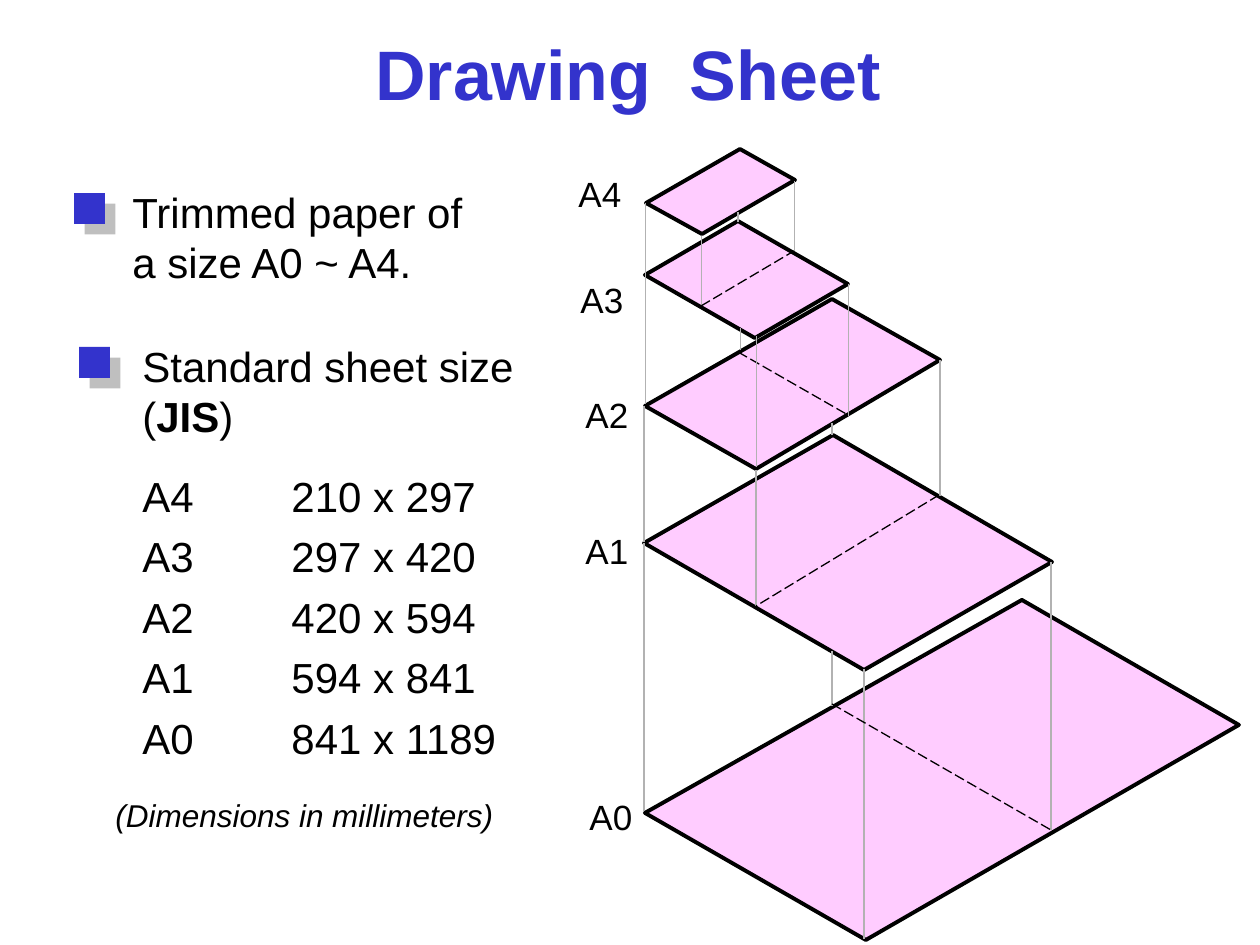
import pptx
import pptx.dml.color
import pptx.enum.dml
import pptx.enum.shapes
import pptx.enum.text
import pptx.oxml
import pptx.oxml.ns
import pptx.util
from lxml import etree

PX = 914400 / 126
FONT = "Arial"
BLUE = pptx.dml.color.RGBColor(0x33, 0x33, 0xCC)
BLACK = pptx.dml.color.RGBColor(0, 0, 0)
PINK = pptx.dml.color.RGBColor(0xFF, 0xCC, 0xFF)
GRAY = pptx.dml.color.RGBColor(0xB2, 0xB2, 0xB2)
DASH = pptx.enum.dml.MSO_LINE.LONG_DASH
THIN, HAIR = 0.75, 0.25

TITLE = "Drawing  Sheet"
TRIMMED = ["Trimmed paper of", "a size A0 ~ A4."]
STANDARD = [("Standard sheet size (", False), ("JIS", True), (")", False)]
SIZES = [
    ("A4", "210 x 297"),
    ("A3", "297 x 420"),
    ("A2", "420 x 594"),
    ("A1", "594 x 841"),
    ("A0", "841 x 1189"),
]
UNITS_NOTE = "(Dimensions in millimeters)"
BULLETS = [(74, 193), (79, 347)]
BULLET_SIDE = 31

# Each sheet: corners, fold (x1, y1, x2, y2), vertical guides (x, y1, y2, width)
SHEETS = [
    {"corners": [(646, 203), (740, 149), (795, 180), (702, 234)],
     "fold": None, "guides": []},
    {"corners": [(848, 284), (738, 221), (645, 275), (755, 338)],
     "fold": (701, 306, 794, 251),
     "guides": [(645, 203, 273, HAIR), (701, 236, 306, HAIR), (794, 181, 251, HAIR)]},
    {"corners": [(832, 299), (645, 406), (756, 469), (940, 360)],
     "fold": (738, 352, 848, 415),
     "guides": [(848, 284, 416, HAIR), (740, 328, 350, HAIR)]},
    {"corners": [(644, 543), (864, 670), (1052, 562), (833, 435)],
     "fold": (939, 495, 756, 606),
     "guides": [(644, 406, 542, THIN), (756, 470, 606, THIN), (940, 360, 496, THIN)]},
    {"corners": [(645, 813), (866, 940), (1239, 725), (1022, 600)],
     "fold": (832, 704, 1051, 830),
     "guides": [(738, 222, 212, THIN), (756, 336, 467, HAIR), (645, 273, 404, HAIR),
                (644, 543, 811, THIN), (864, 669, 939, THIN), (1051, 562, 830, THIN),
                (832, 651, 706, THIN), (832, 435, 423, THIN)]},
]
LABELS = [("A4", 566, 166), ("A3", 568, 272), ("A2", 573, 387),
          ("A1", 573, 523), ("A0", 577, 789)]


def emu(*lengths):
    return [round(length * PX) for length in lengths]


def add_box(slide, left, top, width, height, wrap=False):
    frame = slide.shapes.add_textbox(*emu(left, top, width, height)).text_frame
    frame.word_wrap = wrap
    return frame


def add_run(paragraph, text, size, color=BLACK, bold=False, italic=False):
    run = paragraph.add_run()
    run.text = text
    run.font.name = FONT
    run.font.size = pptx.util.Pt(size)
    run.font.color.rgb = color
    run.font.bold = bold
    run.font.italic = italic


def add_tab_stop(paragraph, position):
    tabs = etree.SubElement(paragraph._p.get_or_add_pPr(), pptx.oxml.ns.qn("a:tabLst"))
    etree.SubElement(tabs, pptx.oxml.ns.qn("a:tab"), pos=str(emu(position)[0]), algn="l")


def add_line(slide, x1, y1, x2, y2, color, width, dash=None):
    line = slide.shapes.add_connector(
        pptx.enum.shapes.MSO_CONNECTOR.STRAIGHT, *emu(x1, y1, x2, y2))
    line.line.color.rgb = color
    line.line.width = pptx.util.Pt(width)
    if dash is not None:
        line.line.dash_style = dash
    etree.SubElement(line._element.spPr, pptx.oxml.ns.qn("a:effectLst"))


def add_bullet(slide, left, top):
    square = slide.shapes.add_shape(
        pptx.enum.shapes.MSO_SHAPE.RECTANGLE, *emu(left, top, BULLET_SIDE, BULLET_SIDE))
    square.fill.solid()
    square.fill.fore_color.rgb = BLUE
    square.line.fill.background()
    square.shadow.inherit = False
    effects = square._element.spPr.find(pptx.oxml.ns.qn("a:effectLst"))
    effects.append(pptx.oxml.parse_xml(
        f'<a:outerShdw {pptx.oxml.ns.nsdecls("a")} dist="107950" dir="2700000" '
        'algn="ctr" rotWithShape="0"><a:srgbClr val="808080">'
        '<a:alpha val="50000"/></a:srgbClr></a:outerShdw>'))


def add_sheet(slide, corners, fold, guides):
    builder = slide.shapes.build_freeform(*corners[0], scale=PX)
    builder.add_line_segments(corners[1:], close=True)
    sheet = builder.convert_to_shape()
    sheet.fill.solid()
    sheet.fill.fore_color.rgb = PINK
    sheet.line.color.rgb = BLACK
    sheet.line.width = pptx.util.Pt(2.25)
    sheet.shadow.inherit = False
    for x, y1, y2, width in guides:
        add_line(slide, x, y1, x, y2, GRAY, width)
    if fold:
        add_line(slide, *fold, BLACK, THIN, DASH)


def add_size_list(slide):
    frame = add_box(slide, 130, 334, 408, 435, wrap=True)
    for text, bold in STANDARD:
        add_run(frame.paragraphs[0], text, 24, bold=bold)
    for index, (name, size) in enumerate(SIZES):
        row = frame.add_paragraph()
        row.line_spacing = 1.2
        if index == 0:
            row.space_before = pptx.util.Pt(11)
        add_tab_stop(row, 149)
        add_run(row, f"{name}\t{size}", 24)


def main():
    deck = pptx.Presentation()
    deck.slide_width, deck.slide_height = emu(1260, 945)
    slide = deck.slides.add_slide(deck.slide_layouts[6])

    title = add_box(slide, 35, 24, 1186, 97, wrap=True)
    title.vertical_anchor = pptx.enum.text.MSO_ANCHOR.MIDDLE
    title.paragraphs[0].alignment = pptx.enum.text.PP_ALIGN.CENTER
    add_run(title.paragraphs[0], TITLE, 40, BLUE, bold=True)

    trimmed = add_box(slide, 120, 180, 357, 113)
    add_run(trimmed.paragraphs[0], TRIMMED[0], 24)
    add_run(trimmed.add_paragraph(), TRIMMED[1], 24)

    add_size_list(slide)
    for position in BULLETS:
        add_bullet(slide, *position)
    for sheet in SHEETS:
        add_sheet(slide, **sheet)
    for name, left, top in LABELS:
        add_run(add_box(slide, left, top, 68, 54).paragraphs[0], name, 20)

    note = add_box(slide, 103, 782, 403, 58).paragraphs[0]
    note.line_spacing = 1.2
    add_run(note, UNITS_NOTE, 18, italic=True)

    deck.save("out.pptx")


if __name__ == "__main__":
    main()
